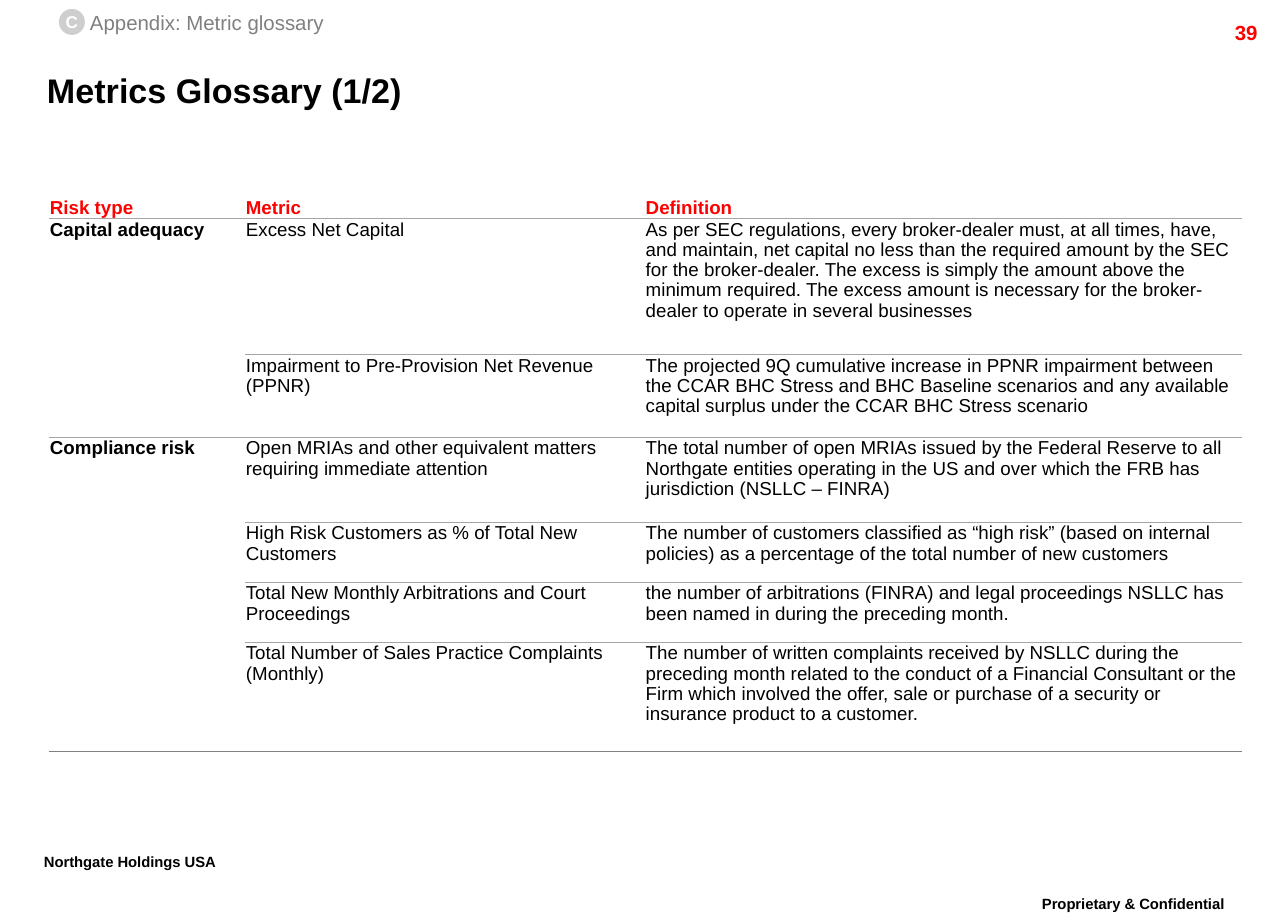
from lxml.etree import SubElement
from pptx import Presentation
from pptx.dml.color import RGBColor
from pptx.enum.shapes import MSO_SHAPE
from pptx.enum.text import MSO_ANCHOR, PP_ALIGN
from pptx.oxml.ns import qn
from pptx.util import Inches, Pt

# Content
TITLE = "Metrics Glossary (1/2)"
HEAD = ("Risk type", "Metric", "Definition")
RISKS = [
    ("Capital adequacy", [
        ("Excess Net Capital",
         "As per SEC regulations, every broker-dealer must, at all times, have, and maintain, "
         "net capital no less than the required amount by the SEC for the broker-dealer. The "
         "excess is simply the amount above the minimum required. The excess amount is "
         "necessary for the broker-dealer to operate in several businesses"),
        ("Impairment to Pre-Provision Net Revenue (PPNR)",
         "The projected 9Q cumulative increase in PPNR impairment between the CCAR BHC Stress "
         "and BHC Baseline scenarios and any available capital surplus under the CCAR BHC "
         "Stress scenario"),
    ]),
    ("Compliance risk", [
        ("Open MRIAs and other equivalent matters requiring immediate attention",
         "The total number of open MRIAs issued by the Federal Reserve to all Northgate "
         "entities operating in the US and over which the FRB has jurisdiction "
         "(NSLLC – FINRA)"),
        ("High Risk Customers as % of Total New Customers",
         "The number of customers classified as “high risk” (based on internal policies) as a "
         "percentage of the total number of new customers"),
        ("Total New Monthly Arbitrations and Court Proceedings",
         "the number of arbitrations (FINRA) and legal proceedings NSLLC has been named in "
         "during the preceding month."),
        ("Total Number of Sales Practice Complaints (Monthly)",
         "The number of written complaints received by NSLLC during the preceding month "
         "related to the conduct of a Financial Consultant or the Firm which involved the "
         "offer, sale or purchase of a security or insurance product to a customer."),
    ]),
]
WIDTHS = (196, 400, 597)
HEIGHTS = (23, 136, 83, 85, 60, 60, 109)
RED, BLACK, GRAY, RULE = "FF0000", "000000", "808080", "A5A5A5"


def px(n):
    return round(n * 914400 / 122.7)


def color(code):
    return RGBColor.from_string(code)


def write(frame, text, size=11, ink=BLACK, bold=False, align=PP_ALIGN.LEFT,
          anchor=MSO_ANCHOR.TOP, wrap=True, space=None, inset=None, base=None):
    frame.word_wrap = wrap
    frame.vertical_anchor = anchor
    if inset is not None:
        frame.margin_left = frame.margin_right = px(inset)
        frame.margin_top = frame.margin_bottom = px(inset)
    par = frame.paragraphs[0]
    par.alignment = align
    if space:
        par.line_spacing = space
    run = par.add_run()
    run.text = text
    font = run.font
    font.name, font.size, font.bold = "Arial", Pt(size), bold
    font.color.rgb = color(ink)
    if base:
        run._r.get_or_add_rPr().set("baseline", str(base * 1000))


def label(text, box, **form):
    shape = slide.shapes.add_textbox(*map(px, box))
    write(shape.text_frame, text, **form)


def edge(cell, side, ink=None, width=0.75):
    line = SubElement(cell._tc.get_or_add_tcPr(), qn("a:ln" + side), w=str(Pt(width)))
    if ink:
        fill = SubElement(line, qn("a:solidFill"))
        SubElement(fill, qn("a:srgbClr"), val=ink)
    else:
        SubElement(line, qn("a:noFill"))


deck = Presentation()
deck.slide_width, deck.slide_height = Inches(10.5), Inches(7.5)
slide = deck.slides.add_slide(deck.slide_layouts[5])

# Title
title = slide.shapes.title
title.left, title.top, title.width, title.height = map(px, (47, 60, 1163, 59))
write(title.text_frame, TITLE, size=20, bold=True, anchor=MSO_ANCHOR.MIDDLE, inset=0)

# Section marker and page number
badge = slide.shapes.add_shape(MSO_SHAPE.OVAL, *map(px, (59, 9, 26, 26)))
badge.shadow.inherit = False
badge.fill.solid()
badge.fill.fore_color.rgb = color("CECECE")
badge.line.fill.background()
write(badge.text_frame, "C", size=10, ink="FFFFFF", bold=True, wrap=False,
      align=PP_ALIGN.CENTER, anchor=MSO_ANCHOR.MIDDLE)
label("Appendix: Metric glossary", (90, 10, 236, 25), size=12, ink=GRAY,
      anchor=MSO_ANCHOR.MIDDLE, wrap=False, inset=0)
label("39", (1148, 14, 122, 29), size=12, ink=RED, bold=True, align=PP_ALIGN.RIGHT)

# Glossary table
table = slide.shapes.add_table(len(HEIGHTS), len(WIDTHS), px(49), px(196),
                               px(sum(WIDTHS)), px(sum(HEIGHTS))).table
table.first_row = table.horz_banding = False
for col, width in zip(table.columns, WIDTHS):
    col.width = px(width)
for row, height in zip(table.rows, HEIGHTS):
    row.height = px(height)


def fill_cell(row, col, text, **form):
    cell = table.cell(row, col)
    cell.margin_left = cell.margin_right = cell.margin_top = px(1)
    cell.margin_bottom = 0
    cell.vertical_anchor = MSO_ANCHOR.BOTTOM if row == 0 else MSO_ANCHOR.TOP
    write(cell.text_frame, text, space=0.97, anchor=cell.vertical_anchor, **form)


for col, text in enumerate(HEAD):
    fill_cell(0, col, text, ink=RED, bold=True)
row = 1
for risk, metrics in RISKS:
    table.cell(row, 0).merge(table.cell(row + len(metrics) - 1, 0))
    fill_cell(row, 0, risk, bold=True)
    for metric, meaning in metrics:
        fill_cell(row, 1, metric)
        fill_cell(row, 2, meaning)
        row += 1

# Table rules
last = len(HEIGHTS) - 1
for row in range(len(HEIGHTS)):
    for col in range(len(WIDTHS)):
        cell = table.cell(row, col)
        end = row + (cell.span_height if cell.is_merge_origin else 1) - 1
        edge(cell, "L")
        edge(cell, "R")
        edge(cell, "T", None if row == 0 or cell.is_spanned else RULE)
        if end == last:
            edge(cell, "B", GRAY, 1)
        else:
            edge(cell, "B", None if cell.is_spanned else RULE)
        cell.fill.background()

# Footers
note = dict(size=15, bold=True, space=0.86, base=30)
label("Northgate Holdings USA", (32, 848, 234, 43), **note)
label("Proprietary & Confidential", (1000, 890, 267, 43), align=PP_ALIGN.CENTER, **note)

deck.save("out.pptx")
